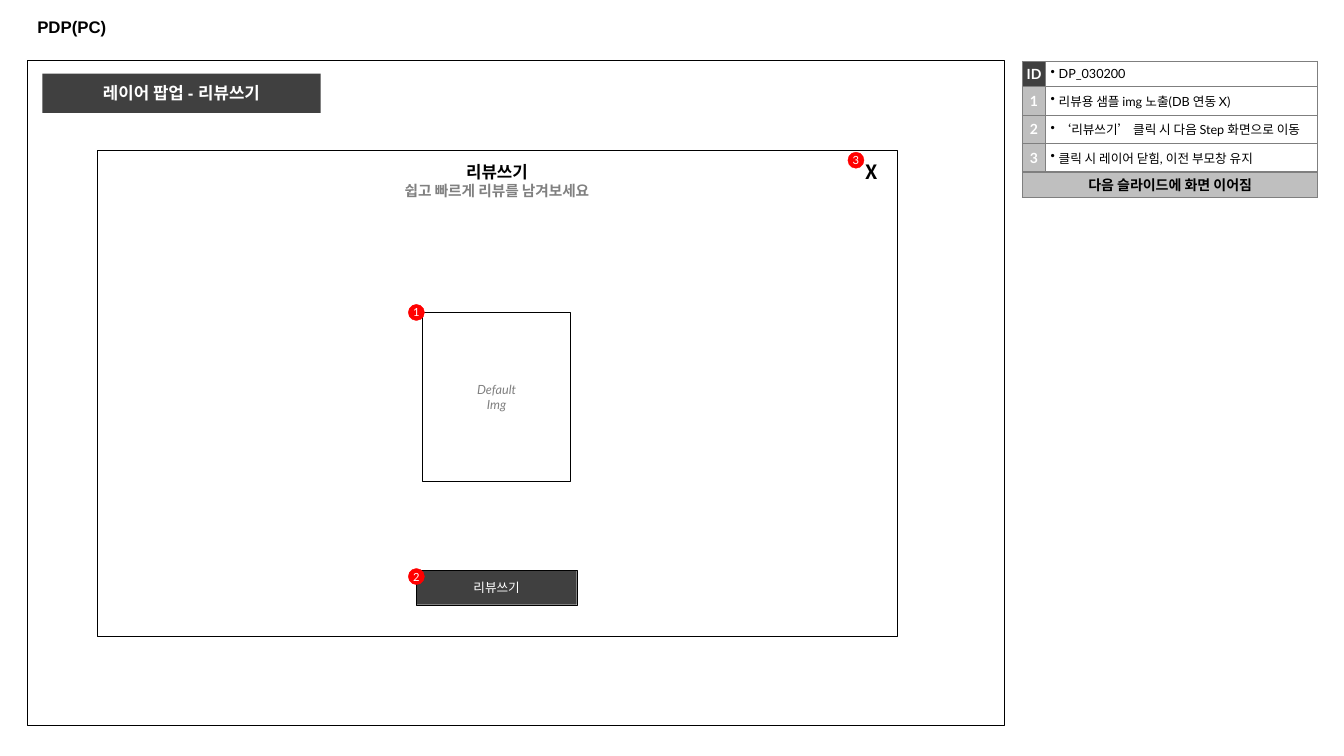
from dataclasses import dataclass
from typing import Optional

from lxml import etree
from pptx import Presentation
from pptx.dml.color import RGBColor
from pptx.enum import shapes, text
from pptx.oxml import ns
from pptx.util import Inches, Pt


@dataclass(frozen=True)
class Theme:
    black: str = "000000"
    white: str = "FFFFFF"
    dark: str = "404040"
    gray: str = "808080"
    light: str = "BFBFBF"
    rule: str = "7F7F7F"
    red: str = "FF0000"
    sans: str = "Arial"
    body: str = "Lato"
    hangul: str = "Noto Sans CJK KR"
    mark: float = 8
    small: float = 9
    label: float = 10
    sub: float = 10.5
    head: float = 12
    close: float = 14


T = Theme()


@dataclass(frozen=True)
class Line:
    words: str
    size: float
    color: str
    font: str = T.body
    bold: bool = False
    italic: bool = False


@dataclass(frozen=True)
class Box:
    at: tuple[float, float, float, float]
    lines: tuple[Line, ...] = ()
    fill: Optional[str] = None
    edge: Optional[str] = T.black
    width: float = 0.25
    kind: shapes.MSO_SHAPE = shapes.MSO_SHAPE.RECTANGLE
    inset: float = 0.04
    top: Optional[float] = None  # top inset of text that hangs from the top


def place(at: tuple[float, ...]) -> list[int]:
    return [Inches(n) for n in at]


def paint(fill, color: Optional[str]) -> None:
    if color:
        fill.solid()
        fill.fore_color.rgb = RGBColor.from_string(color)
    else:
        fill.background()


def style(para, line: Line, align=text.PP_ALIGN.CENTER) -> None:
    para.text, para.alignment = line.words, align
    font = para.font
    font.name, font.size = line.font, Pt(line.size)
    font.bold, font.italic = line.bold, line.italic
    font.color.rgb = RGBColor.from_string(line.color)


def draw(slide, box: Box) -> None:
    shape = slide.shapes.add_shape(box.kind, *place(box.at))
    shape.shadow.inherit = False
    paint(shape.fill, box.fill)
    paint(shape.line.fill, box.edge)
    if box.edge:
        shape.line.width = Pt(box.width)
    frame = shape.text_frame
    frame.margin_left = frame.margin_right = Inches(box.inset)
    frame.margin_top = frame.margin_bottom = Inches(box.inset)
    frame.vertical_anchor = text.MSO_ANCHOR.MIDDLE
    if box.top is not None:
        frame.margin_top = Inches(box.top)
        frame.vertical_anchor = text.MSO_ANCHOR.TOP
    for i, line in enumerate(box.lines):
        style(frame.add_paragraph() if i else frame.paragraphs[0], line)


def badge(num: int, left: float, top: float) -> Box:
    return Box((left, top, 0.16, 0.16), (Line(str(num), T.mark, T.white),),
               T.red, T.red, kind=shapes.MSO_SHAPE.OVAL, inset=0)


def border(cell) -> None:
    props = cell._tc.get_or_add_tcPr()
    for side in ("lnL", "lnR", "lnT", "lnB"):
        edge = etree.SubElement(props, ns.qn(f"a:{side}"), w=str(Pt(1)))
        solid = etree.SubElement(edge, ns.qn("a:solidFill"))
        etree.SubElement(solid, ns.qn("a:srgbClr"), val=T.rule)


def bullet(para) -> None:
    props = para._p.get_or_add_pPr()
    props.set("marL", str(Inches(0.08)))
    props.set("indent", str(-Inches(0.08)))
    etree.SubElement(props, ns.qn("a:buChar"), char="•")


def fill_cell(cell, line: Line, color: Optional[str], listed: bool = False) -> None:
    pad = Inches(0.05 if listed else 0)
    cell.margin_left = cell.margin_right = pad
    cell.margin_top = cell.margin_bottom = pad
    paint(cell.fill, color)
    para = cell.text_frame.paragraphs[0]
    if listed:
        bullet(para)
        style(para, line, text.PP_ALIGN.LEFT)
    else:
        cell.vertical_anchor = text.MSO_ANCHOR.MIDDLE
        style(para, line)


def add_notes(slide, rows: list[tuple[str, str]], foot: str) -> None:
    count, step = len(rows) + 1, 0.25
    area = place((10.14, 0.61, 2.93, count * step))
    table = slide.shapes.add_table(count, 2, *area).table
    table.first_row = table.horz_banding = False
    for col, width in zip(table.columns, (0.23, 2.7)):
        col.width = Inches(width)
    for cell in table.iter_cells():
        border(cell)
    for i, (key, note) in enumerate(rows):
        fill_cell(table.cell(i, 0), Line(key, T.label, T.white, bold=True),
                  T.light if i else T.dark)
        fill_cell(table.cell(i, 1), Line(note, T.small, T.black), None, True)
    last = table.cell(count - 1, 0)
    last.merge(table.cell(count - 1, 1))
    fill_cell(last, Line(foot, T.label, T.black, bold=True), T.light)


def add_close(slide) -> None:
    frame = slide.shapes.add_textbox(*place((8.49, 1.54, 0.32, 0.34))).text_frame
    frame.word_wrap = False
    frame.auto_size = text.MSO_AUTO_SIZE.SHAPE_TO_FIT_TEXT
    style(frame.paragraphs[0], Line("X", T.close, T.black, T.hangul, True),
          text.PP_ALIGN.LEFT)


NOTES = [
    ("ID", "DP_030200"),
    ("1", "리뷰용 샘플 img 노출(DB 연동 X)"),
    ("2", "‘리뷰쓰기’ 클릭 시 다음 Step 화면으로 이동"),
    ("3", "클릭 시 레이어 닫힘, 이전 부모창 유지"),
]

BOXES = [
    # Page frame and its label
    Box((0.27, 0.6, 9.69, 6.6), width=0.75),
    Box((0.42, 0.73, 2.76, 0.39),
        (Line("레이어 팝업 - 리뷰쓰기", T.head, T.white, T.sans, True),),
        T.dark, None),
    # Popup, sample image and button
    Box((0.96, 1.49, 7.94, 4.82),
        (Line("리뷰쓰기", T.head, T.black, bold=True),
         Line("쉽고 빠르게 리뷰를 남겨보세요", T.sub, T.gray, bold=True)), top=0.11),
    Box((4.19, 3.1, 1.47, 1.67),
        tuple(Line(word, T.small, T.gray, italic=True)
              for word in ("Default", "Img"))),
    Box((4.13, 5.66, 1.59, 0.34), (Line("리뷰쓰기", T.small, T.white),), T.dark),
    # Numbered markers
    badge(1, 4.05, 3.02),
    badge(2, 4.05, 5.64),
    badge(3, 8.41, 1.51),
]


def main() -> None:
    deck = Presentation()
    deck.slide_width, deck.slide_height = Inches(13.33), Inches(7.5)
    slide = deck.slides.add_slide(deck.slide_layouts[5])

    # Title
    title = slide.shapes.title
    title.left, title.top, title.width, title.height = place((0.27, 0.07, 12.79, 0.39))
    title.text_frame.vertical_anchor = text.MSO_ANCHOR.MIDDLE
    style(title.text_frame.paragraphs[0],
          Line("PDP(PC)", T.head, T.black, T.sans, True), text.PP_ALIGN.LEFT)

    # Notes table, wireframe and close mark
    add_notes(slide, NOTES, "다음 슬라이드에 화면 이어짐")
    for box in BOXES:
        draw(slide, box)
    add_close(slide)
    deck.save("out.pptx")


if __name__ == "__main__":
    main()
